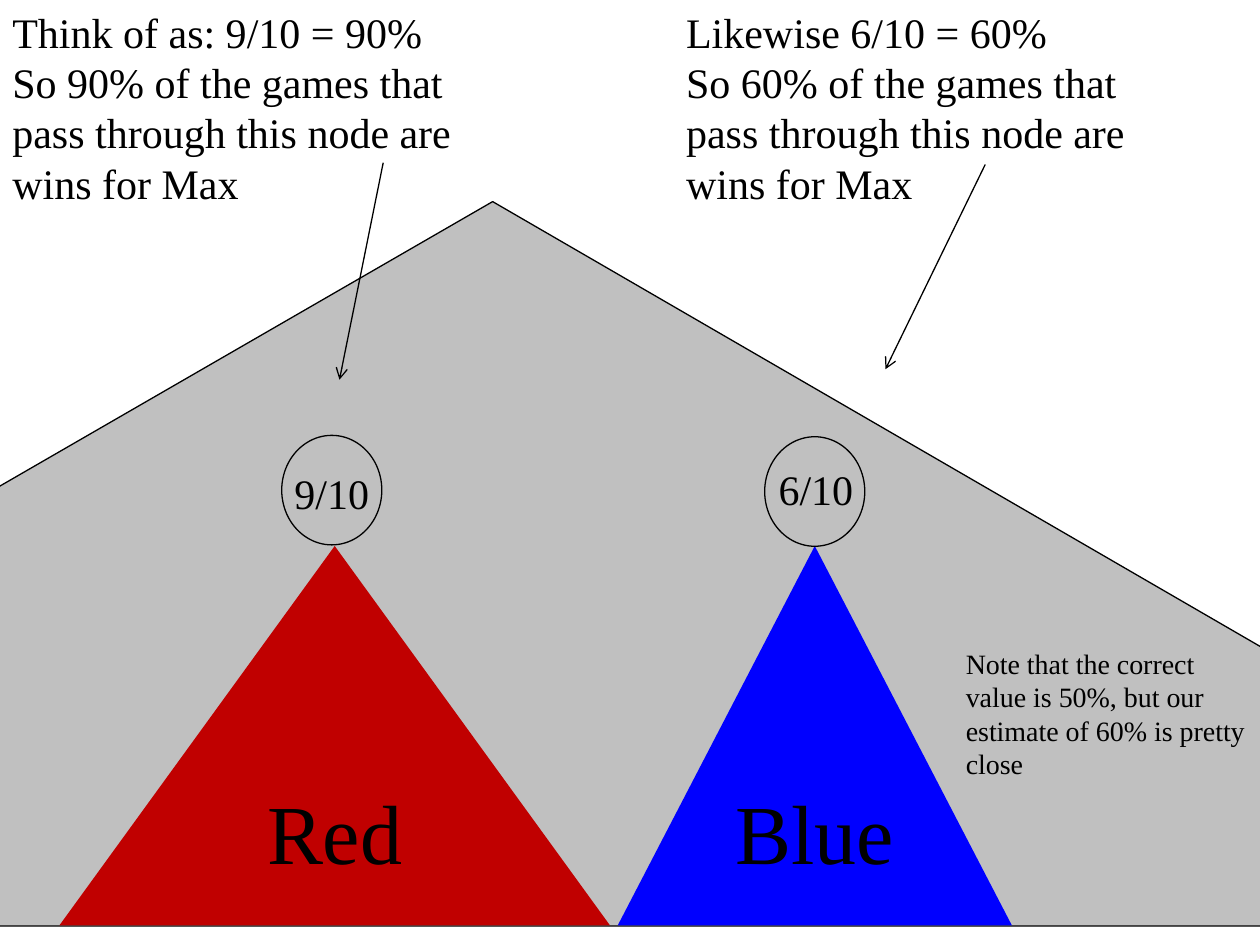
import pptx
import pptx.dml.color
import pptx.enum.shapes
import pptx.enum.text
import pptx.oxml
import pptx.oxml.ns
import pptx.util
from lxml import etree

Pt = pptx.util.Pt
SHAPES = pptx.enum.shapes.MSO_SHAPE


def rgb(hex_colour):
    return pptx.dml.color.RGBColor.from_string(hex_colour)


class TreeSlide:
    """Holds the style and the current slide; lengths are in points."""

    font_name = "Times New Roman"
    ink = "000000"
    line_width = 0.75

    def __init__(self, slide):
        self.slide = slide

    def outline(self, line):
        line.color.rgb = rgb(self.ink)
        line.width = Pt(self.line_width)

    def add_run(self, paragraph, words, size):
        run = paragraph.add_run()
        run.text = words
        run.font.name = self.font_name
        run.font.size = Pt(size)
        run.font.color.rgb = rgb(self.ink)

    def shape(self, kind, box, fill=None, outlined=True):
        shape = self.slide.shapes.add_shape(kind, *map(Pt, box))
        shape.shadow.inherit = False
        if fill:
            shape.fill.solid()
            shape.fill.fore_color.rgb = rgb(fill)
        else:
            shape.fill.background()
        if outlined:
            self.outline(shape.line)
        else:
            shape.line.fill.background()
        return shape

    def subtree(self, box, fill, label):
        """Draw a borderless triangle with a large centred label."""
        triangle = self.shape(SHAPES.ISOSCELES_TRIANGLE, box, fill, outlined=False)
        frame = triangle.text_frame
        frame.word_wrap = False
        frame.vertical_anchor = pptx.enum.text.MSO_ANCHOR.MIDDLE
        frame.paragraphs[0].alignment = pptx.enum.text.PP_ALIGN.CENTER
        self.add_run(frame.paragraphs[0], label, 48)

    def text(self, box, lines, size=24):
        frame = self.slide.shapes.add_textbox(*map(Pt, box)).text_frame
        frame.word_wrap = True
        frame.auto_size = pptx.enum.text.MSO_AUTO_SIZE.SHAPE_TO_FIT_TEXT
        for index, words in enumerate(lines):
            paragraph = frame.add_paragraph() if index else frame.paragraphs[0]
            self.add_run(paragraph, words, size)

    def arrow(self, start, end):
        connector = self.slide.shapes.add_connector(
            pptx.enum.shapes.MSO_CONNECTOR.STRAIGHT, *map(Pt, start + end))
        self.outline(connector.line)
        qn = pptx.oxml.ns.qn
        etree.SubElement(connector.line._get_or_add_ln(), qn("a:tailEnd"), type="arrow")
        etree.SubElement(connector._element.spPr, qn("a:effectLst"))


def main():
    deck = pptx.Presentation()
    deck.slide_width, deck.slide_height = Pt(720), Pt(540)
    page = TreeSlide(deck.slides.add_slide(deck.slide_layouts[6]))

    game_tree = page.shape(
        SHAPES.ISOSCELES_TRIANGLE, (-435.6, 115.2, 1431.4, 414), "C0C0C0")
    game_tree.adjustments[0] = 0.501

    page.subtree((34, 312, 314.6, 216.8), "C00000", "Red")
    page.subtree((353, 312, 225.2, 216.8), "0000FF", "Blue")

    nodes = [
        ((161, 248.8), "9/10", (161.2, 263.6, 61.4)),
        ((437, 249.6), "6/10", (437.8, 261.4, 65.6)),
    ]
    for (left, top), score, (score_left, score_top, score_width) in nodes:
        page.shape(SHAPES.OVAL, (left, top, 57.2, 62.6))
        page.text((score_left, score_top, score_width, 36), [score])

    explanations = [
        (0, "Think of as: 9/10 = 90%", "90%", (219, 93), (194, 217)),
        (385, "Likewise 6/10 = 60%", "60%", (563, 94), (506, 211)),
    ]
    for left, heading, share, start, end in explanations:
        meaning = f"So {share} of the games that pass through this node are wins for Max"
        page.text((left, 0, 270.6, 123.6), [heading, meaning])
        page.arrow(start, end)

    page.text(
        (544.8, 365.6, 175.2, 85),
        ["Note that the correct value is 50%, but our estimate of 60% is pretty close"],
        size=16)

    deck.save("out.pptx")


if __name__ == "__main__":
    main()
